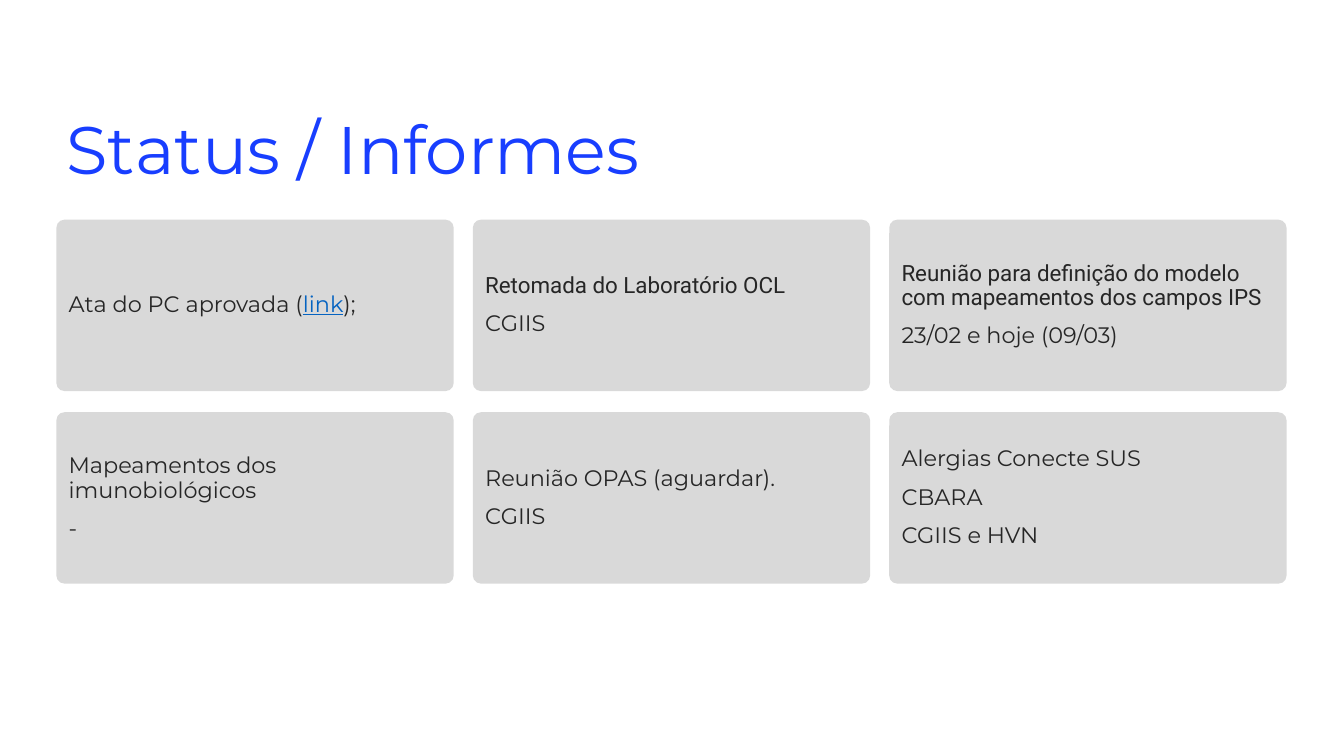
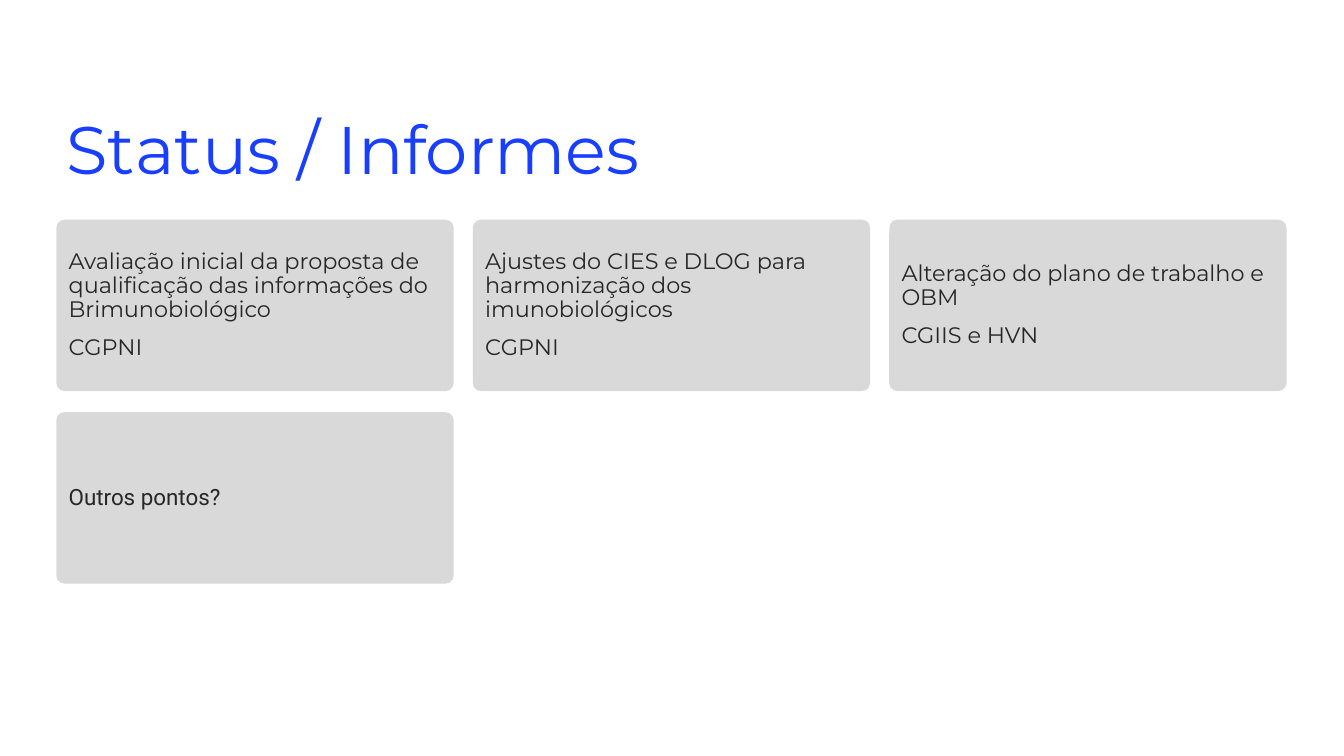
"""Build the two status slides as grids of rounded cards."""
import dataclasses

import pptx
import pptx.dml.color
import pptx.enum.shapes
import pptx.enum.text
import pptx.util

Inches = pptx.util.Inches
Pt = pptx.util.Pt
Color = pptx.dml.color.RGBColor


@dataclasses.dataclass(frozen=True)
class Theme:
    """Hold the colours, fonts and type sizes of the deck."""
    title_color: Color = Color.from_string("183EFF")
    card_color: Color = Color.from_string("D9D9D9")
    text_color: Color = Color.from_string("262626")
    link_color: Color = Color.from_string("0563C1")
    page_color: Color = Color.from_string("FFFFFF")
    main_font: str = "Montserrat"
    accent_font: str = "Roboto"
    title_size: Pt = Pt(48)
    card_size: Pt = Pt(16)
    paragraph_gap: Pt = Pt(10)
    line_spacing: float = 0.9


THEME = Theme()
MAIN, ACCENT = THEME.main_font, THEME.accent_font
TITLE = "Status / Informes"
LINK = "link"

PAGES = [
    [
        (MAIN, [("Ata do PC aprovada (", LINK, ");")]),
        (ACCENT, [("Retomada do Laboratório OCL",), ("CGIIS",)]),
        (ACCENT, [("Reunião para definição do modelo com mapeamentos dos campos IPS",),
                  ("23/02 e hoje (09/03)",)]),
        (MAIN, [("Mapeamentos dos imunobiológicos",), ("-",)]),
        (MAIN, [("Reunião OPAS (aguardar).",), ("CGIIS",)]),
        (MAIN, [("Alergias Conecte SUS",), ("CBARA",), ("CGIIS e HVN",)]),
    ],
    [
        (MAIN, [("Avaliação inicial da proposta de qualificação das informações do "
                 "Brimunobiológico",), ("CGPNI",)]),
        (MAIN, [("Ajustes do CIES e DLOG para harmonização dos imunobiológicos",),
                ("CGPNI",)]),
        (MAIN, [("Alteração do plano de trabalho e OBM",), ("CGIIS e HVN",)]),
        (ACCENT, [("Outros pontos?",)]),
    ],
]

COLUMNS = 3
LEFT, CARD_TOP = Inches(0.56), Inches(2.18)
CARD_WIDTH, CARD_HEIGHT = Inches(3.94), Inches(1.7)
COLUMN_GAP, ROW_GAP = Inches(0.19), Inches(0.21)
CORNER = 0.047


def format_paragraph(para, font, size, color):
    """Apply the shared paragraph style."""
    para.alignment = pptx.enum.text.PP_ALIGN.LEFT
    para.line_spacing = THEME.line_spacing
    para.font.name = font
    para.font.size = size
    para.font.color.rgb = color


def set_title(page):
    """Place and format the slide title."""
    title = page.shapes.title
    title.left, title.top = LEFT, Inches(1.11)
    title.width, title.height = Inches(8.73), Inches(0.65)
    frame = title.text_frame
    frame.text = TITLE
    frame.auto_size = pptx.enum.text.MSO_AUTO_SIZE.NONE
    frame.vertical_anchor = pptx.enum.text.MSO_ANCHOR.TOP
    format_paragraph(frame.paragraphs[0], MAIN, THEME.title_size, THEME.title_color)


def add_card(page, index, heading_font, lines):
    """Add one card at its place in the grid."""
    row, column = divmod(index, COLUMNS)
    box = page.shapes.add_shape(
        pptx.enum.shapes.MSO_SHAPE.ROUNDED_RECTANGLE,
        LEFT + column * (CARD_WIDTH + COLUMN_GAP),
        CARD_TOP + row * (CARD_HEIGHT + ROW_GAP),
        CARD_WIDTH, CARD_HEIGHT)
    box.adjustments[0] = CORNER
    box.shadow.inherit = False
    box.fill.solid()
    box.fill.fore_color.rgb = THEME.card_color
    box.line.fill.background()
    frame = box.text_frame
    frame.word_wrap = True
    frame.vertical_anchor = pptx.enum.text.MSO_ANCHOR.MIDDLE
    for number, line in enumerate(lines):
        para = frame.add_paragraph() if number else frame.paragraphs[0]
        font = MAIN if number else heading_font
        format_paragraph(para, font, THEME.card_size, THEME.text_color)
        if number:
            para.space_before = THEME.paragraph_gap
        for text in line:
            span = para.add_run()
            span.text = text
            if text == LINK:
                span.font.underline = True
                span.font.color.rgb = THEME.link_color


def main():
    """Create the deck and save it."""
    deck = pptx.Presentation()
    deck.slide_width, deck.slide_height = Inches(13.33), Inches(7.5)
    background = deck.slide_master.background.fill
    background.solid()
    background.fore_color.rgb = THEME.page_color
    title_only = deck.slide_layouts.get_by_name("Title Only")
    for cards in PAGES:
        page = deck.slides.add_slide(title_only)
        set_title(page)
        for index, (heading_font, lines) in enumerate(cards):
            add_card(page, index, heading_font, lines)
    deck.save("out.pptx")


if __name__ == "__main__":
    main()
